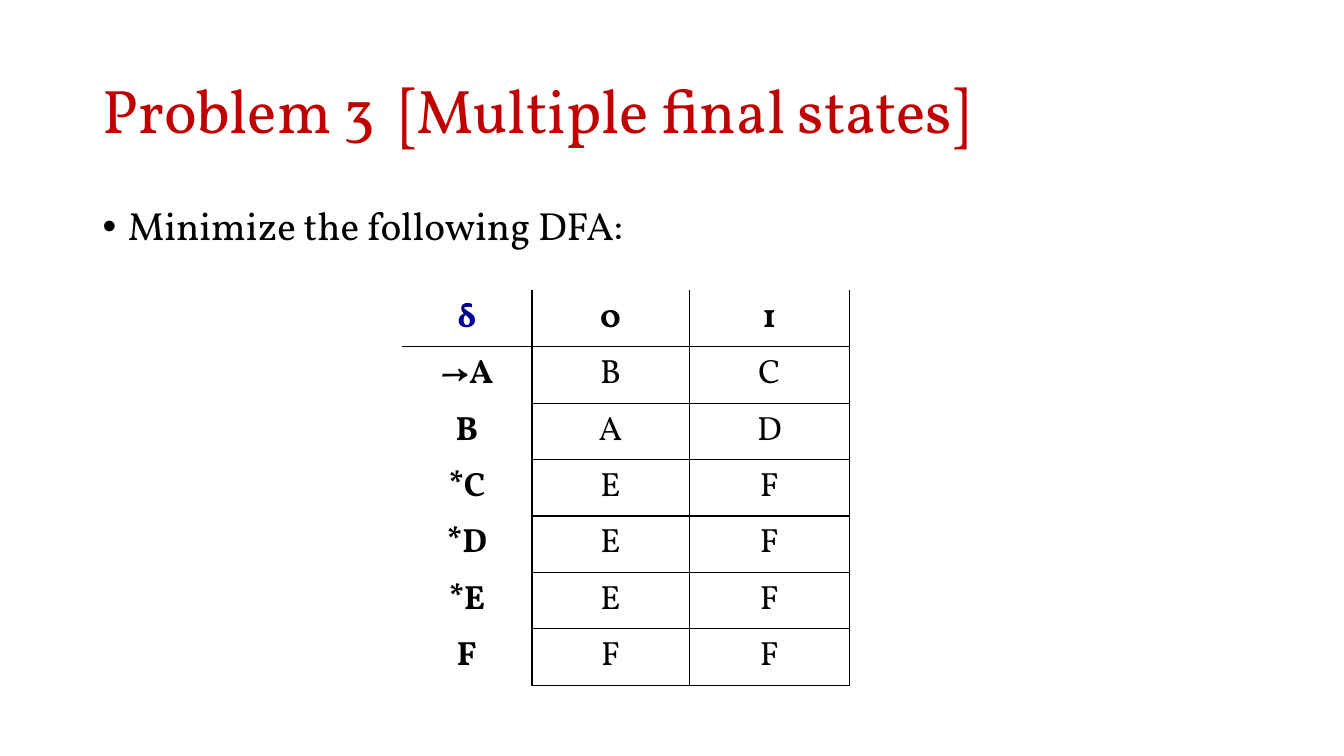
from lxml.etree import SubElement
from pptx import Presentation
from pptx.dml.color import RGBColor
from pptx.enum.text import MSO_ANCHOR, PP_ALIGN
from pptx.oxml.ns import qn
from pptx.util import Inches, Pt

COLORS = {"title": "C00000", "ink": "000000", "delta": "000099"}
FONT = "Vollkorn"
WIDTH, HEIGHT = Inches(13.33), Inches(7.5)
MARGIN, CONTENT_WIDTH = 0.069, 0.863  # shares of the slide width
TRANSITIONS = [
    ("δ", "0", "1"),
    ("→A", "B", "C"),
    ("B", "A", "D"),
    ("*C", "E", "F"),
    ("*D", "E", "F"),
    ("*E", "E", "F"),
    ("F", "F", "F"),
]
COLUMN_WIDTHS = (1.29, 1.56, 1.59)
ROW_HEIGHT = 0.56


def style_text(paragraph, size, color, bold=False):
    for run in paragraph.runs:
        run.font.name = FONT
        run.font.size = Pt(size)
        run.font.bold = bold
        run.font.color.rgb = RGBColor.from_string(COLORS[color])


def add_text(slide, text, top, height, size, color, anchor):
    """Add a line of text across the content width; top and height are shares of the slide."""
    box = slide.shapes.add_textbox(int(WIDTH * MARGIN), int(HEIGHT * top),
                                   int(WIDTH * CONTENT_WIDTH), int(HEIGHT * height))
    frame = box.text_frame
    frame.word_wrap = True
    frame.vertical_anchor = anchor
    frame.text = text
    paragraph = frame.paragraphs[0]
    paragraph.line_spacing = 0.9
    style_text(paragraph, size, color)
    return paragraph


def add_bullet(paragraph):
    paragraph.alignment = PP_ALIGN.JUSTIFY
    paragraph.space_before = Pt(10)
    properties = paragraph._p.get_or_add_pPr()
    properties.set("marL", str(Inches(0.25)))
    properties.set("indent", str(Inches(-0.25)))
    SubElement(properties, qn("a:buFont"), typeface="Arial")
    SubElement(properties, qn("a:buChar"), char="•")


def set_borders(cell, visible):
    """Rule the sides named in visible (letters of LRTB) and clear the others."""
    properties = cell._tc.get_or_add_tcPr()
    for side in "LRTB":
        line = SubElement(properties, qn(f"a:ln{side}"), w=str(Pt(1)))
        if side in visible:
            fill = SubElement(line, qn("a:solidFill"))
            SubElement(fill, qn("a:srgbClr"), val=COLORS["ink"])
        else:
            SubElement(line, qn("a:noFill"))


def visible_sides(row, column):
    if column == 0:
        return {0: "RB", 1: "RT"}.get(row, "R")
    return "LRB" if row == 0 else "LRTB"


def add_transition_table(slide, left, top):
    frame = slide.shapes.add_table(
        len(TRANSITIONS), len(COLUMN_WIDTHS), int(WIDTH * left), int(HEIGHT * top),
        Inches(sum(COLUMN_WIDTHS)), Inches(ROW_HEIGHT * len(TRANSITIONS)))
    table = frame.table
    table.first_row = table.horz_banding = False
    for column, width in zip(table.columns, COLUMN_WIDTHS):
        column.width = Inches(width)
    for r, entries in enumerate(TRANSITIONS):
        table.rows[r].height = Inches(ROW_HEIGHT)
        for c, entry in enumerate(entries):
            cell = table.cell(r, c)
            set_borders(cell, visible_sides(r, c))
            cell.fill.background()
            cell.vertical_anchor = MSO_ANCHOR.MIDDLE
            cell.text_frame.text = entry
            paragraph = cell.text_frame.paragraphs[0]
            paragraph.alignment = PP_ALIGN.CENTER
            style_text(paragraph, 24, "delta" if r == c == 0 else "ink",
                       bold=r == 0 or c == 0)


def main():
    deck = Presentation()
    deck.slide_width, deck.slide_height = WIDTH, HEIGHT
    slide = deck.slides.add_slide(deck.slide_layouts[6])
    add_text(slide, "Problem 3  [Multiple final states]", 0.053, 0.193, 44,
             "title", MSO_ANCHOR.MIDDLE)
    task = add_text(slide, "Minimize the following DFA:", 0.267, 0.635, 28,
                    "ink", MSO_ANCHOR.TOP)
    add_bullet(task)
    add_transition_table(slide, left=0.299, top=0.384)
    deck.save("out.pptx")


if __name__ == "__main__":
    main()
